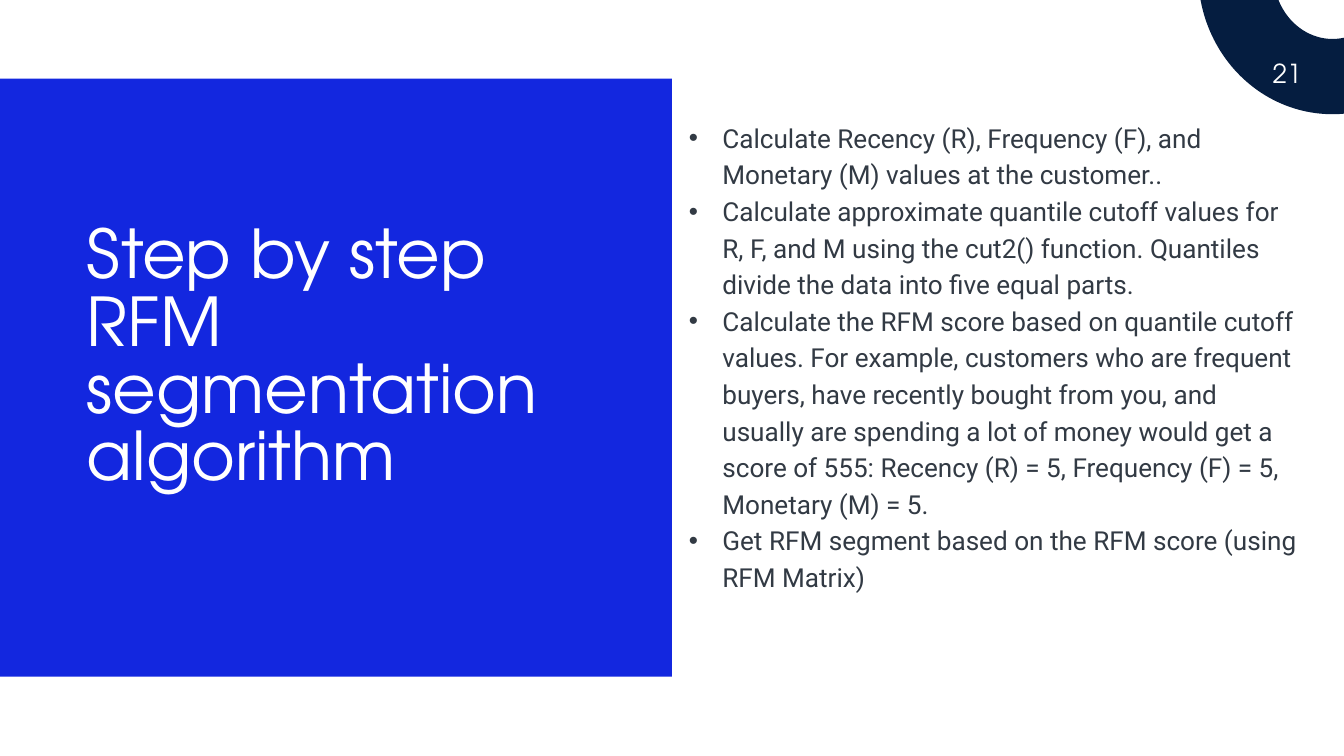
from dataclasses import dataclass

from lxml import etree
from pptx import Presentation
from pptx import util as u
from pptx.dml.color import RGBColor
from pptx.enum import shapes
from pptx.oxml.ns import qn


@dataclass(frozen=True)
class Theme:
    blue: str = "1327DF"
    navy: str = "051D40"
    white: str = "FFFFFF"
    ink: str = "323A44"
    heading: str = "TeX Gyre Adventor"
    body: str = "Roboto"
    title_size: int = 72
    body_size: int = 28


theme = Theme()


def add_panel(kind, left, top, width, height, color):
    sp = s.shapes.add_shape(kind, u.Inches(left), u.Inches(top), u.Inches(width), u.Inches(height))
    sp.shadow.inherit = False
    sp.fill.solid()
    sp.fill.fore_color.rgb = RGBColor.from_string(color)
    sp.line.fill.background()
    return sp


def add_text(left, top, width, height, lines, font, size, color, spacing=None, inset=0):
    sp = s.shapes.add_textbox(u.Inches(left), u.Inches(top), u.Inches(width), u.Inches(height))
    tf = sp.text_frame
    tf.word_wrap = True
    tf.margin_left = tf.margin_right = u.Inches(inset)
    tf.margin_top = tf.margin_bottom = u.Inches(inset / 2)
    for i, line in enumerate(lines):
        p = tf.add_paragraph() if i else tf.paragraphs[0]
        if spacing:
            p.line_spacing = u.Pt(spacing)
        r = p.add_run()
        r.text = line
        r.font.name = font
        r.font.size = u.Pt(size)
        r.font.color.rgb = RGBColor.from_string(color)
    return tf


prs = Presentation()
prs.slide_width = u.Inches(20)
prs.slide_height = u.Inches(11.25)
s = prs.slides.add_slide(prs.slide_layouts[6])

add_panel(shapes.MSO_SHAPE.RECTANGLE, -0.55, 1.17, 10.55, 8.9, theme.blue)
add_text(1.29, 3.35, 7.77, 4.09, ["Step by step RFM segmentation algorithm"],
         theme.heading, theme.title_size, theme.white, spacing=72)

steps = [
    "Calculate Recency (R), Frequency (F), and Monetary (M) values at the customer..",
    "Calculate approximate quantile cutoff values for R, F, and M using the cut2() function. "
    "Quantiles divide the data into five equal parts.",
    "Calculate the RFM score based on quantile cutoff values. For example, customers who are "
    "frequent buyers, have recently bought from you, and usually are spending a lot of money "
    "would get a score of 555: Recency (R) = 5, Frequency (F) = 5, Monetary (M) = 5.",
    "Get RFM segment based on the RFM score (using RFM Matrix)",
]
tf = add_text(10.25, 1.74, 9.11, 7.08, steps, theme.body, theme.body_size, theme.ink, spacing=39.2)
for p in tf.paragraphs:
    pPr = p._p.get_or_add_pPr()
    pPr.set("marL", str(u.Inches(0.5)))
    pPr.set("indent", str(u.Inches(-0.5)))
    etree.SubElement(pPr, qn("a:buFont"), typeface="Arial")
    etree.SubElement(pPr, qn("a:buChar"), char="•")

ring = add_panel(shapes.MSO_SHAPE.DONUT, 17.83, -2.49, 4, 4.19, theme.navy)
ring.adjustments[0] = 0.28
add_text(18.84, 0.8, 0.82, 0.57, ["21"], theme.heading, theme.body_size, theme.white, inset=0.1)

prs.save("out.pptx")
